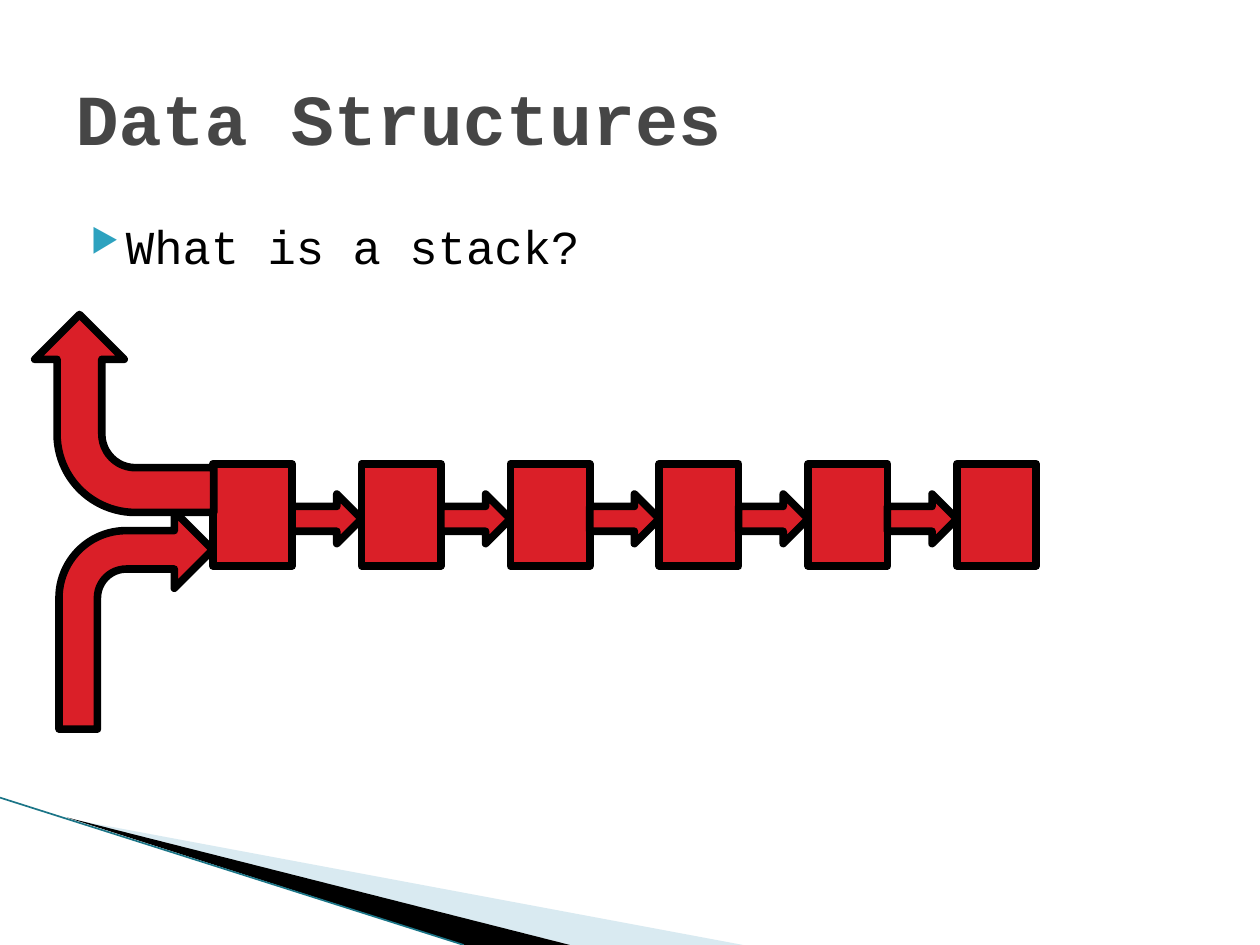
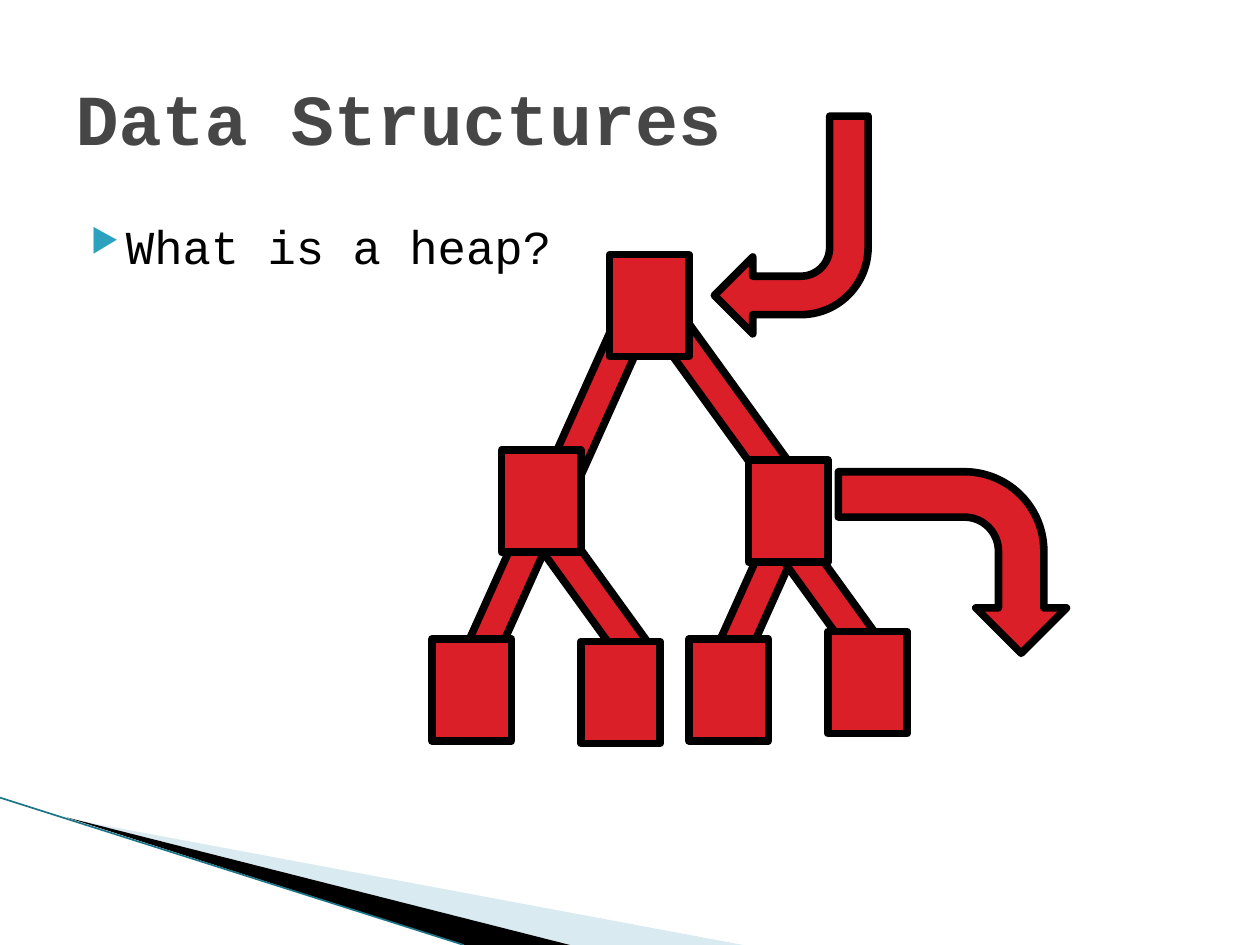
from dataclasses import dataclass

from lxml import etree
from pptx import Presentation
from pptx.dml.color import RGBColor
from pptx.enum.shapes import MSO_CONNECTOR, MSO_SHAPE
from pptx.enum.text import MSO_ANCHOR, MSO_AUTO_SIZE, PP_ALIGN
from pptx.oxml.ns import qn
from pptx.util import Cm, Pt

RECT = MSO_SHAPE.RECTANGLE
RIGHT_ARROW = MSO_SHAPE.RIGHT_ARROW
BENT_ARROW = MSO_SHAPE.BENT_ARROW
STRAIGHT = MSO_CONNECTOR.STRAIGHT
MIDDLE = MSO_ANCHOR.MIDDLE
NO_FIT = MSO_AUTO_SIZE.NONE
LEFT = PP_ALIGN.LEFT


@dataclass(frozen=True)
class Theme:
    font: str = "Courier New"
    title: str = "464646"
    text: str = "000000"
    bullet: str = "2DA2BF"
    node: str = "DA1F28"
    outline: str = "000000"
    pale_band: str = "A0CBDC"
    dark_band: str = "000000"
    band_line: str = "1B7587"
    title_size: float = 41
    body_size: float = 27
    outline_width: float = 4.33
    band_line_width: float = 0.95
    pale_opacity: int = 40


def rgb(value):
    return RGBColor.from_string(value)


def add_xml(parent, tag, **attrs):
    return etree.SubElement(parent, qn(tag), attrs)


class Deck:
    NODE_W, NODE_H = 1.6, 2.06
    BRANCH_W, BRANCH_H = 0.65, 4.39

    def __init__(self, theme):
        self.theme = theme
        self.prs = Presentation()
        self.prs.slide_width, self.prs.slide_height = Cm(25.4), Cm(19.05)
        self.s = None

    def slide(self, title):
        self.s = self.prs.slides.add_slide(self.prs.slide_layouts[5])
        self.bands()
        sp = self.s.shapes.title
        sp.left, sp.top, sp.width, sp.height = Cm(1.27), Cm(0.76), Cm(22.86), Cm(3.18)
        tf = sp.text_frame
        tf.auto_size = NO_FIT
        tf.vertical_anchor = MIDDLE
        p = tf.paragraphs[0]
        p.alignment = LEFT
        self.run(p, title, self.theme.title_size, self.theme.title, bold=True)

    def run(self, p, text, size, color, bold=False):
        r = p.add_run()
        r.text = text
        r.font.name = self.theme.font
        r.font.size = Pt(size)
        r.font.bold = bold
        r.font.color.rgb = rgb(color)

    def bands(self):
        t = self.theme
        self.band([(1.4, 16.51), (14.98, 19.05), (11.49, 19.05)], t.pale_band, t.pale_opacity)
        self.band([(1.35, 16.48), (11.49, 19.05), (9.35, 19.05)], t.dark_band)
        line = self.s.shapes.add_connector(STRAIGHT, Cm(0), Cm(16.08), Cm(9.35), Cm(19.05))
        line.line.color.rgb = rgb(t.band_line)
        line.line.width = Pt(t.band_line_width)
        add_xml(line.element.spPr, "a:effectLst")

    def band(self, points, color, opacity=100):
        start, *rest = [(Cm(x), Cm(y)) for x, y in points]
        builder = self.s.shapes.build_freeform(*start)
        builder.add_line_segments(rest)
        sp = builder.convert_to_shape()
        sp.shadow.inherit = False
        sp.fill.solid()
        sp.fill.fore_color.rgb = rgb(color)
        sp.line.fill.background()
        if opacity < 100:
            clr = sp.element.spPr.find(qn("a:solidFill")).find(qn("a:srgbClr"))
            add_xml(clr, "a:alpha", val=str(opacity * 1000))

    def bullet(self, text):
        t = self.theme
        tf = self.s.shapes.add_textbox(Cm(1.27), Cm(4.25), Cm(22.86), Cm(12.43)).text_frame
        tf.word_wrap = True
        p = tf.paragraphs[0]
        pPr = p._p.get_or_add_pPr()
        pPr.set("marL", str(Cm(1.02)))
        pPr.set("indent", str(Cm(-0.71)))
        add_xml(add_xml(pPr, "a:buClr"), "a:srgbClr", val=t.bullet)
        add_xml(pPr, "a:buSzPct", val="68000")
        add_xml(pPr, "a:buChar", char="▶")
        self.run(p, text, t.body_size, t.text)

    def shape(self, kind, x, y, w, h, rotation=0):
        t = self.theme
        sp = self.s.shapes.add_shape(kind, Cm(x), Cm(y), Cm(w), Cm(h))
        sp.rotation = rotation
        sp.shadow.inherit = False
        sp.fill.solid()
        sp.fill.fore_color.rgb = rgb(t.node)
        sp.line.color.rgb = rgb(t.outline)
        sp.line.width = Pt(t.outline_width)
        add_xml(sp.element.spPr.find(qn("a:ln")), "a:round")

    def node(self, x, y):
        self.shape(RECT, x, y, self.NODE_W, self.NODE_H)

    def branch(self, x, y, rotation):
        self.shape(RECT, x, y, self.BRANCH_W, self.BRANCH_H, rotation)

    def bent_arrow(self, x, y, w, h, rotation=0):
        self.shape(BENT_ARROW, x, y, w, h, rotation)


def stack_slide(deck):
    deck.slide("Data Structures")
    deck.bullet("What is a stack?")
    count, left, top, link = 6, 4.29, 9.35, 1.4
    for i in range(count):
        x = left + i * (deck.NODE_W + link)
        deck.node(x, top)
        if i < count - 1:
            deck.shape(RIGHT_ARROW, x + deck.NODE_W, top + 0.61, link, 1)
    deck.bent_arrow(1.19, 10.31, 3.1, 4.39)
    deck.bent_arrow(0.51, 6.53, 3.99, 3.61, 270)


def heap_slide(deck):
    deck.slide("Data Structures")
    left_tilt, right_tilt = 24.2, 324.1
    for x, y, tilt in [
        (9.78, 10.06, left_tilt), (11.43, 9.5, right_tilt),
        (14.78, 10.19, left_tilt), (11.58, 6.17, left_tilt),
        (16.33, 9.75, right_tilt), (14.33, 5.94, right_tilt),
    ]:
        deck.branch(x, y, tilt)
    deck.bullet("What is a heap?")
    root = [(12.29, 5.13)]
    children = [(10.11, 9.07), (15.09, 9.27)]
    leaves = [(8.71, 12.88), (11.71, 12.93), (13.89, 12.88), (16.69, 12.73)]
    for x, y in root + children + leaves:
        deck.node(x, y)
    deck.bent_arrow(17.37, 9.04, 3.66, 4.6, 90)
    deck.bent_arrow(14.4, 2.34, 3.1, 4.39, 180)


def main():
    deck = Deck(Theme())
    stack_slide(deck)
    heap_slide(deck)
    deck.prs.save("out.pptx")


if __name__ == "__main__":
    main()
